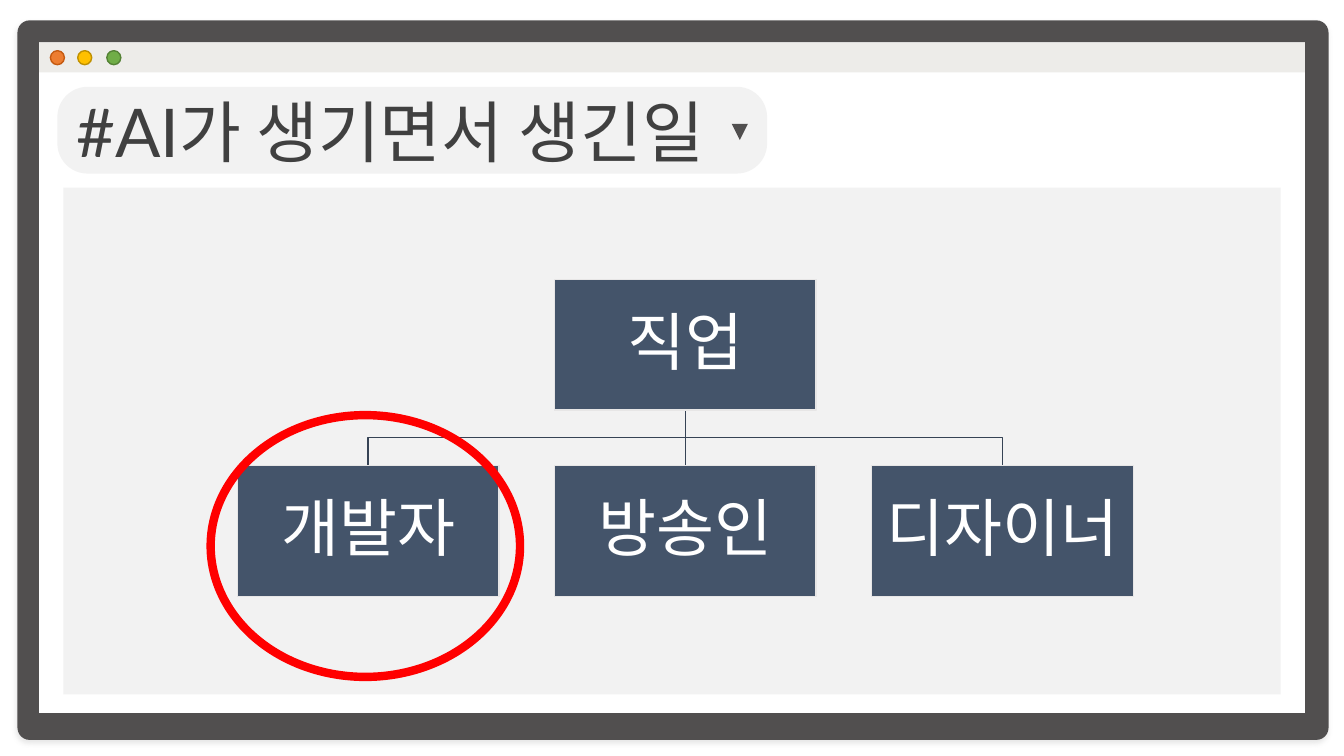
from lxml.etree import SubElement
from pptx import Presentation
from pptx.dml.color import RGBColor
from pptx.enum.shapes import MSO_SHAPE
from pptx.enum.text import MSO_ANCHOR, MSO_AUTO_SIZE, PP_ALIGN
from pptx.oxml import parse_xml
from pptx.oxml.ns import nsdecls, qn
from pptx.util import Pt

FRAME = RGBColor(0x51, 0x4F, 0x4F)
WHITE = RGBColor(0xFF, 0xFF, 0xFF)
BAR = RGBColor(0xED, 0xEC, 0xE9)
PANEL = RGBColor(0xF2, 0xF2, 0xF2)
TITLE_INK = RGBColor(0x40, 0x40, 0x40)
NAVY = RGBColor(0x44, 0x54, 0x6A)
BRANCH = RGBColor(0x36, 0x43, 0x55)
BOX_EDGE = RGBColor(0xE7, 0xE6, 0xE6)
RED = RGBColor(0xFF, 0x00, 0x00)

TITLE = "#AI가 생기면서 생긴일"
ROOT = "직업"
JOBS = ["개발자", "방송인", "디자이너"]
BUTTONS = [
    (36, RGBColor(0xED, 0x7D, 0x31), RGBColor(0xC5, 0x5A, 0x11)),
    (55.5, RGBColor(0xFF, 0xC0, 0x00), RGBColor(0xBF, 0x90, 0x00)),
    (76.3, RGBColor(0x70, 0xAD, 0x47), RGBColor(0x54, 0x82, 0x35)),
]

PILL = (41, 62, 507, 62)
BOX_WIDTH, BOX_HEIGHT = 187, 93.5
BOX_LEFT, BOX_STEP = 169.5, 226.5
ROOT_TOP, JOB_TOP = 199.5, 332.5

deck = Presentation()
deck.slide_width, deck.slide_height = Pt(960), Pt(540)
page = deck.slides.add_slide(deck.slide_layouts[5])


def add_part(kind, bounds, fill=None, edge=None, weight=1, corner=None):
    part = page.shapes.add_shape(kind, *map(Pt, bounds))
    part.shadow.inherit = False
    if corner is not None:
        part.adjustments[0] = corner
    if fill is None:
        part.fill.background()
    else:
        part.fill.solid()
        part.fill.fore_color.rgb = fill
    if edge is None:
        part.line.fill.background()
    else:
        part.line.color.rgb = edge
        part.line.width = Pt(weight)
    return part


def write(part, text, font_name, size, color, align, insets):
    frame = part.text_frame
    frame.auto_size = MSO_AUTO_SIZE.NONE
    frame.word_wrap = True
    frame.vertical_anchor = MSO_ANCHOR.MIDDLE
    (frame.margin_left, frame.margin_top,
     frame.margin_right, frame.margin_bottom) = map(Pt, insets)
    para = frame.paragraphs[0]
    para.text = text
    para.alignment = align
    para.font.name = font_name
    para.font.size = Pt(size)
    para.font.color.rgb = color
    return para


def add_box(text, left, top):
    box = add_part(MSO_SHAPE.RECTANGLE, (left, top, BOX_WIDTH, BOX_HEIGHT), NAVY, BOX_EDGE)
    para = write(box, text, "Calibri", 45, WHITE, PP_ALIGN.CENTER, (2.25,) * 4)
    para.line_spacing = 0.9
    para.space_after = Pt(15.75)


def add_branch(points):
    start, *rest = [(Pt(x), Pt(y)) for x, y in points]
    builder = page.shapes.build_freeform(*start)
    builder.add_line_segments(rest, close=False)
    branch = builder.convert_to_shape()
    branch.shadow.inherit = False
    branch.fill.background()
    branch.line.color.rgb = BRANCH
    branch.line.width = Pt(1)


def add_soft_shadow(part):
    effects = part._element.spPr.find(qn("a:effectLst"))
    shadow = SubElement(effects, qn("a:outerShdw"), blurRad=str(Pt(4)),
                        dist=str(Pt(3)), dir="5400000", algn="t", rotWithShape="0")
    shadow.append(parse_xml(
        f'<a:srgbClr {nsdecls("a")} val="808080"><a:alpha val="20000"/></a:srgbClr>'))


window = add_part(MSO_SHAPE.ROUNDED_RECTANGLE, (12.5, 14.5, 936.5, 514), FRAME, corner=0.017)
add_soft_shadow(window)
add_part(MSO_SHAPE.RECTANGLE, (28, 30.3, 904, 479), WHITE)
add_part(MSO_SHAPE.RECTANGLE, (28, 30.3, 904, 21.4), BAR)
for left, fill, edge in BUTTONS:
    add_part(MSO_SHAPE.OVAL, (left, 36.2, 10, 10), fill, edge)

add_part(MSO_SHAPE.ROUNDED_RECTANGLE, PILL, PANEL, corner=0.349)
title = page.shapes.title
title.left, title.top, title.width, title.height = map(Pt, PILL)
write(title, TITLE, "Lato", 48, TITLE_INK, PP_ALIGN.LEFT, (13.5, 3.6, 0, 3.6))
page.shapes._spTree.append(title._element)
arrow = add_part(MSO_SHAPE.ISOSCELES_TRIANGLE, (522.7, 88.5, 11.5, 11.5), FRAME)
arrow.rotation = 180
add_part(MSO_SHAPE.RECTANGLE, (45.3, 134, 869.5, 362), PANEL)

job_lefts = [BOX_LEFT + index * BOX_STEP for index in range(len(JOBS))]
root_left = job_lefts[len(JOBS) // 2]
root_center = root_left + BOX_WIDTH / 2
root_bottom = ROOT_TOP + BOX_HEIGHT
elbow = (root_bottom + JOB_TOP) / 2
for left in job_lefts:
    center = left + BOX_WIDTH / 2
    add_branch([(root_center, root_bottom), (root_center, elbow),
                (center, elbow), (center, JOB_TOP)])

add_box(ROOT, root_left, ROOT_TOP)
for job, left in zip(JOBS, job_lefts):
    add_box(job, left, JOB_TOP)

add_part(MSO_SHAPE.OVAL, (150.5, 296.5, 221, 187), edge=RED, weight=6)

deck.save("out.pptx")
